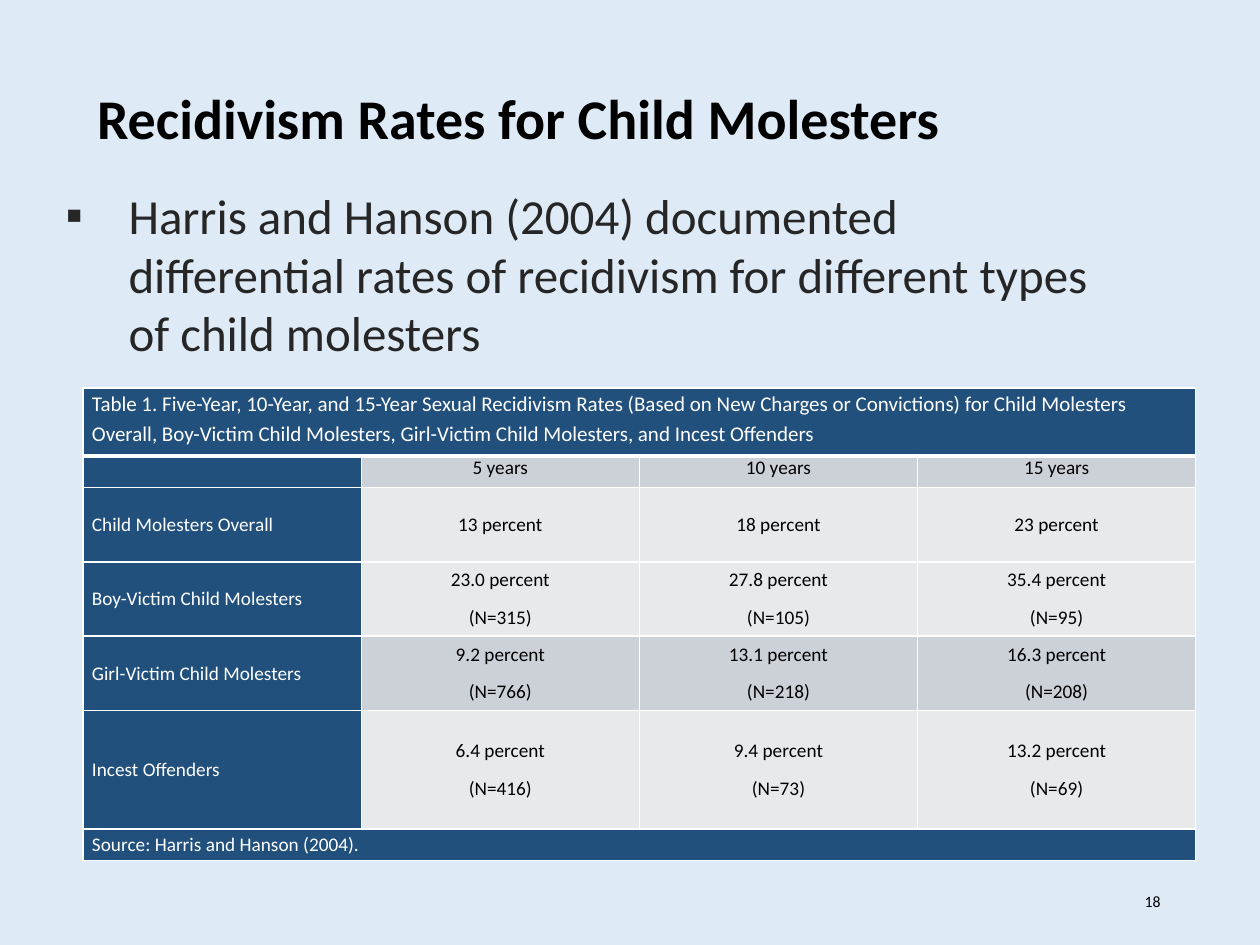
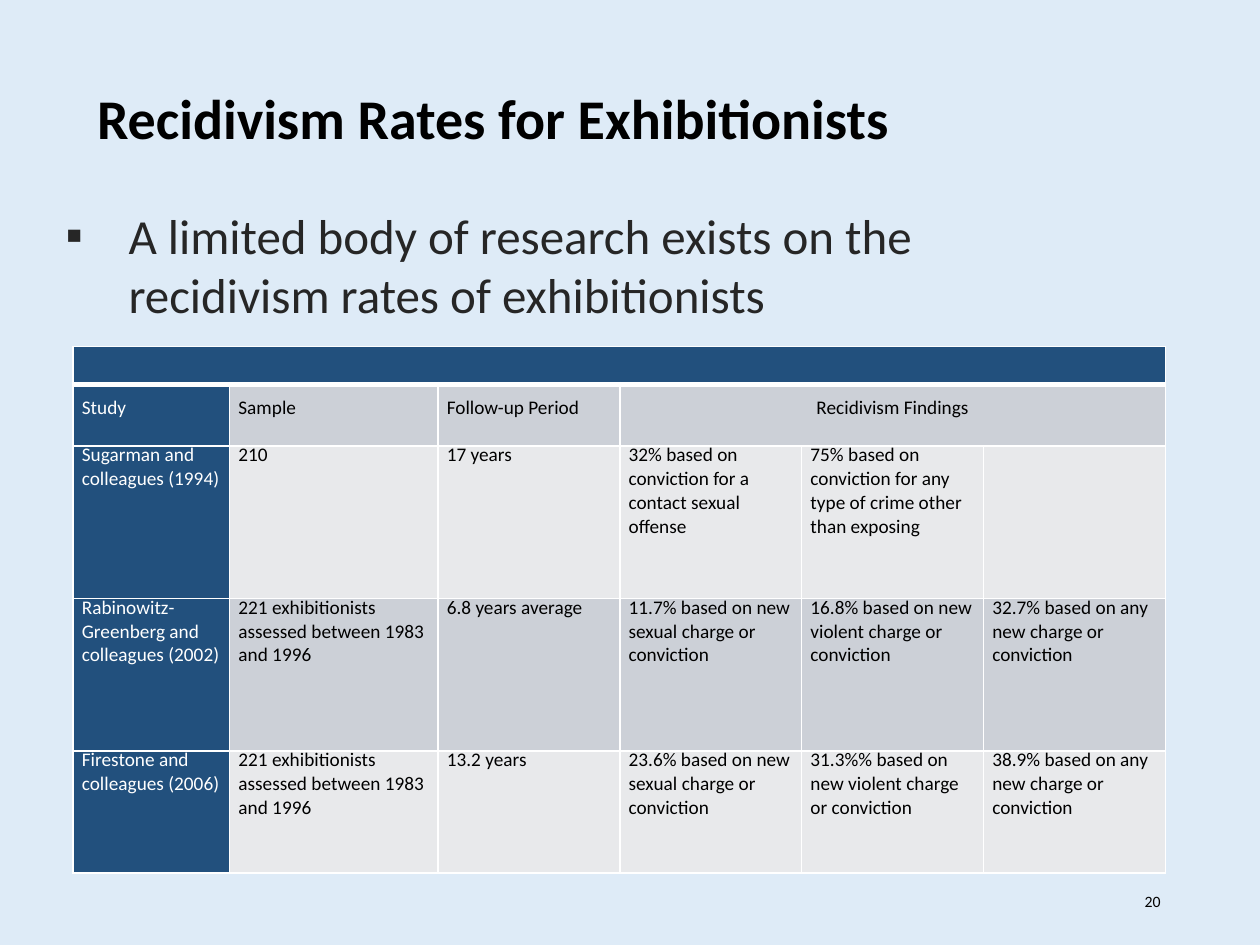
from lxml import etree
from pptx import Presentation, util as u
from pptx.dml.color import RGBColor
from pptx.enum import text
from pptx.oxml import ns

FONT = "Calibri"
PALE_BLUE, NAVY, WHITE, BLACK = "DEEBF7", "22507D", "FFFFFF", "000000"
CHARCOAL, DARK_BAND, LIGHT_BAND = "262626", "CCD0D7", "E8E9EB"
UNIT = u.Inches(0.1)
TITLE_BOX = (6.7, 0.8, 85, 11.7)
NUMBER_BOX = (70.6, 69.5, 22.5, 4)
CELL_INDENT = 0.7 * UNIT
TOP, MIDDLE = text.MSO_ANCHOR.TOP, text.MSO_ANCHOR.MIDDLE
LEFT, CENTER = text.PP_ALIGN.LEFT, text.PP_ALIGN.CENTER

MOLESTER_ROWS = [
    ["Table 1. Five-Year, 10-Year, and 15-Year Sexual Recidivism Rates (Based on New Charges or "
     "Convictions) for Child Molesters\vOverall, Boy-Victim Child Molesters, Girl-Victim Child "
     "Molesters, and Incest Offenders"],
    ["", "5 years", "10 years", "15 years"],
    ["Child Molesters Overall", "13 percent", "18 percent", "23 percent"],
    ["Boy-Victim Child Molesters", "23.0 percent\n(N=315)", "27.8 percent\n(N=105)",
     "35.4 percent\n(N=95)"],
    ["Girl-Victim Child Molesters", "9.2 percent\n(N=766)", "13.1 percent\n(N=218)",
     "16.3 percent\n(N=208)"],
    ["Incest Offenders", "6.4 percent\n(N=416)", "9.4 percent\n(N=73)", "13.2 percent\n(N=69)"],
    ["Source: Harris and Hanson (2004)."],
]
ASSESSED = "221 exhibitionists\nassessed between 1983\nand 1996"
EXHIBITIONIST_ROWS = [
    [""],
    ["Study", "Sample", "Follow-up Period", "Recidivism Findings"],
    ["Sugarman and\ncolleagues (1994)", "210", "17 years",
     "32% based on\nconviction for a\vcontact sexual\voffense",
     "75% based on\nconviction for any\vtype of crime other\vthan exposing", ""],
    ["Rabinowitz-\nGreenberg and\vcolleagues (2002)", ASSESSED, "6.8 years average",
     "11.7% based on new\nsexual charge or\vconviction",
     "16.8% based on new\nviolent charge or\vconviction",
     "32.7% based on any\nnew charge or\vconviction"],
    ["Firestone and\ncolleagues (2006)", ASSESSED, "13.2 years",
     "23.6% based on new\nsexual charge or\vconviction",
     "31.3%% based on\nnew violent charge\vor conviction",
     "38.9% based on any\nnew charge or\vconviction"],
]


def color(value):
    """Turn a hex string into a colour."""
    return RGBColor.from_string(value)


def place(shape, box):
    """Put a shape at a box given in grid units."""
    shape.left, shape.top, shape.width, shape.height = (int(side * UNIT) for side in box)


def write(frame, words, size, ink, bold=False, align=LEFT, anchor=TOP):
    """Set the words of a text frame and format every run."""
    frame.text = words
    frame.word_wrap = True
    frame.vertical_anchor = anchor
    for paragraph in frame.paragraphs:
        paragraph.alignment = align
        for run in paragraph.runs:
            font = run.font
            font.name, font.size, font.bold = FONT, u.Pt(size), bold
            font.color.rgb = color(ink)


def add_page(presentation, title, statement, statement_box, number):
    """Add a slide with its title, bulleted statement and page number."""
    slide = presentation.slides.add_slide(presentation.slide_layouts[1])
    slide.background.fill.solid()
    slide.background.fill.fore_color.rgb = color(PALE_BLUE)
    heading, body = slide.placeholders
    place(heading, TITLE_BOX)
    write(heading.text_frame, title, 32, BLACK, bold=True, anchor=text.MSO_ANCHOR.BOTTOM)
    place(body, statement_box)
    write(body.text_frame, statement, 28, CHARCOAL)
    for shape in (heading, body):
        shape.text_frame.auto_size = text.MSO_AUTO_SIZE.NONE
    add_bullet(body.text_frame.paragraphs[0])
    page = slide.shapes.add_textbox(0, 0, 0, 0)
    place(page, NUMBER_BOX)
    write(page.text_frame, number, 9, BLACK, align=text.PP_ALIGN.RIGHT, anchor=MIDDLE)
    return slide


def add_bullet(paragraph):
    """Give a paragraph a square bullet with a hanging indent."""
    paragraph.space_before = u.Pt(6)
    properties = paragraph._p.get_or_add_pPr()
    properties.set("marL", str(5 * UNIT))
    properties.set("indent", str(-5 * UNIT))
    etree.SubElement(properties, ns.qn("a:buChar")).set("char", "▪")


def add_borders(cell, top, bottom):
    """Draw white lines round a cell, with the given top and bottom widths."""
    properties = cell._tc.get_or_add_tcPr()
    for side, width in (("L", 1), ("R", 1), ("T", top), ("B", bottom)):
        line = etree.SubElement(properties, ns.qn(f"a:ln{side}"), w=str(u.Pt(width)))
        fill = etree.SubElement(line, ns.qn("a:solidFill"))
        etree.SubElement(fill, ns.qn("a:srgbClr")).set("val", WHITE)


def style_cell(cell, row, fill):
    """Set the margins, borders and fill of a cell."""
    cell.margin_left = cell.margin_right = cell.margin_top = cell.margin_bottom = 0
    add_borders(cell, 3 if row == 1 else 1, 3 if row == 0 else 1)
    cell.fill.solid()
    cell.fill.fore_color.rgb = color(fill)
    ending = cell.text_frame.paragraphs[0]._p.get_or_add_endParaRPr()
    ending.set("sz", "1100")


def write_cell(cell, words, ink, align, anchor, size=11):
    """Write a cell, indented from the left unless centred."""
    write(cell.text_frame, words, size, ink, align=align)
    cell.vertical_anchor = anchor
    cell.margin_left = 0 if align == CENTER else int(CELL_INDENT)


def add_grid(slide, box, columns, rows, bands):
    """Add a table with a navy first column and one band colour per row."""
    frame = slide.shapes.add_table(len(rows), len(columns), 0, 0, UNIT, UNIT)
    place(frame, box)
    table = frame.table
    for column, share in zip(table.columns, columns):
        column.width = int(box[2] * UNIT * share / sum(columns))
    for index, (row, height) in enumerate(zip(table.rows, rows)):
        row.height = int(height * UNIT)
        for position, cell in enumerate(row.cells):
            style_cell(cell, index, NAVY if position == 0 else bands[index])
    return table


def merge_row(table, row, first=0):
    """Merge a row from the given column to its end."""
    table.cell(row, first).merge(table.cell(row, len(table.columns) - 1))


def add_molester_table(slide, box):
    """Add the table of rates over five, ten and fifteen years."""
    bands = [NAVY, DARK_BAND, LIGHT_BAND, LIGHT_BAND, DARK_BAND, LIGHT_BAND, NAVY]
    table = add_grid(slide, box, [1] * 4, [5.4, 2.5, 5.9, 5.9, 5.9, 9.4, 2.5], bands)
    last = len(MOLESTER_ROWS) - 1
    for row, entries in enumerate(MOLESTER_ROWS):
        for column, words in enumerate(filter(None, entries) if row in (0, last) else entries):
            if not words:
                continue
            cell = table.cell(row, column)
            ink, align = (BLACK, CENTER) if column else (WHITE, LEFT)
            anchor = TOP if row < 2 else MIDDLE
            write_cell(cell, words, ink, align, anchor, 11 if row else 12)
            for paragraph in cell.text_frame.paragraphs[1:]:
                paragraph.space_before = u.Pt(7.9)
    table.cell(0, 0).text_frame.paragraphs[0].line_spacing = 1.15
    merge_row(table, 0)
    merge_row(table, last)


def add_exhibitionist_table(slide, box):
    """Add the table of studies and their findings."""
    bands = [NAVY, DARK_BAND, LIGHT_BAND, DARK_BAND, LIGHT_BAND]
    columns = [1.24, 1.65] + [1.44] * 4
    table = add_grid(slide, box, columns, [3, 4.9, 12.1, 12.1, 9.7], bands)
    for row, entries in enumerate(EXHIBITIONIST_ROWS):
        for column, words in enumerate(entries):
            if not words:
                continue
            cell = table.cell(row, column)
            align = CENTER if row == 1 and column == 3 else LEFT
            write_cell(cell, words, BLACK if column else WHITE, align, TOP)
            cell.text_frame.paragraphs[0].line_spacing = 1.5 if row == 1 else u.Pt(12.1)
    merge_row(table, 0)
    merge_row(table, 1, 3)


def main():
    """Build both slides and save them."""
    presentation = Presentation()
    presentation.slide_width, presentation.slide_height = 100 * UNIT, 75 * UNIT
    molesters = add_page(
        presentation, "Recidivism Rates for Child Molesters",
        "Harris and Hanson (2004) documented differential rates of recidivism "
        "for different types of child molesters", (4.2, 14.2, 85, 21), "18")
    add_molester_table(molesters, (6.6, 30.8, 88.3, 37.7))
    exhibitionists = add_page(
        presentation, "Recidivism Rates for Exhibitionists",
        "A limited body of research exists on the recidivism rates of exhibitionists",
        (4.2, 15.8, 85, 57.7), "20")
    add_exhibitionist_table(exhibitionists, (5.8, 27.5, 86.7, 41.8))
    presentation.save("out.pptx")


if __name__ == "__main__":
    main()
